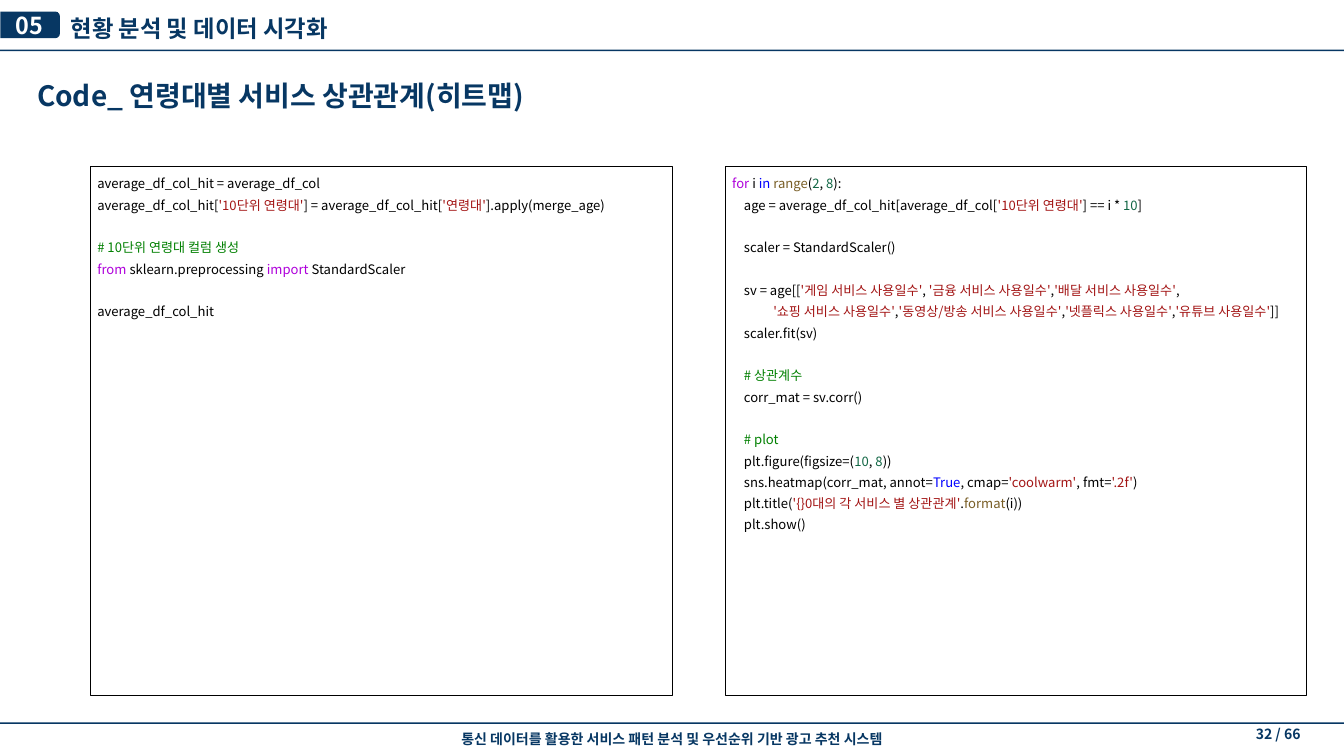
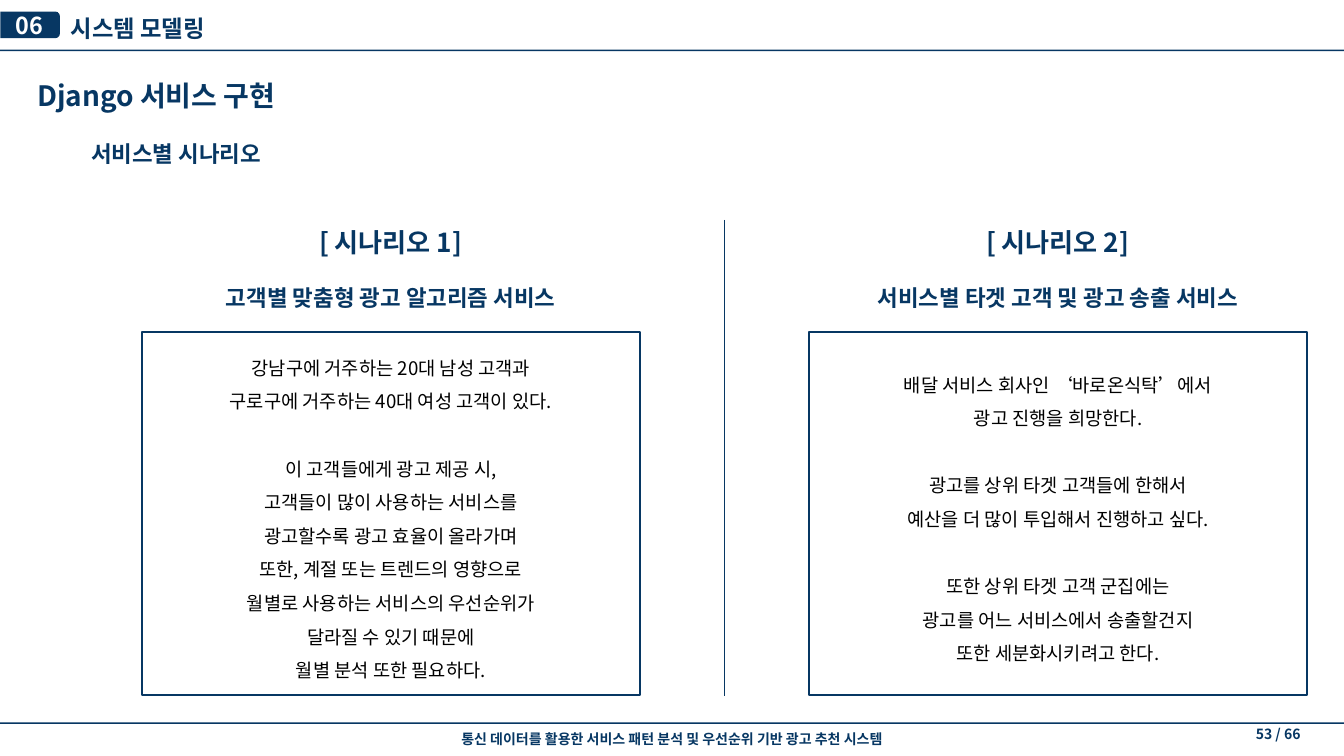
from lxml import etree
from pptx import Presentation
from pptx import util as u
from pptx.dml.color import RGBColor
from pptx.enum import shapes, text
from pptx.oxml.ns import qn

PX = 9525  # EMU per px, 96 px to the inch
WIDTH, HEIGHT = 1920, 1080

NAVY = RGBColor(0x07, 0x37, 0x63)
WHITE = RGBColor(0xFF, 0xFF, 0xFF)
BLACK = RGBColor(0x00, 0x00, 0x00)
STRING = RGBColor(0xA3, 0x15, 0x15)
COMMENT = RGBColor(0x00, 0x80, 0x00)
FLOW = RGBColor(0xAF, 0x00, 0xDB)
KEYWORD = RGBColor(0x00, 0x00, 0xFF)
FUNCTION = RGBColor(0x79, 0x5E, 0x26)
NUMBER = RGBColor(0x11, 0x66, 0x44)

FONT = "Noto Sans CJK KR"
LINE_HEIGHT = 1.2
LEFT, CENTER, RIGHT = text.PP_ALIGN.LEFT, text.PP_ALIGN.CENTER, text.PP_ALIGN.RIGHT
TOP, MIDDLE = text.MSO_ANCHOR.TOP, text.MSO_ANCHOR.MIDDLE
FOOTER = "통신 데이터를 활용한 서비스 패턴 분석 및 우선순위 기반 광고 추천 시스템"
GAP = None  # stands for an empty line in a list of lines


class Deck:
    def __init__(self):
        self.presentation = Presentation()
        self.presentation.slide_width = WIDTH * PX
        self.presentation.slide_height = HEIGHT * PX
        self.slide = None

    def new_slide(self, number, section, title, page):
        """Start a slide with the shared header, title and footer."""
        self.slide = self.presentation.slides.add_slide(self.presentation.slide_layouts[6])
        self.band(1032)
        self.label((481, 1032, 958, 37), [FOOTER], 15, align=CENTER, spacing=1.26, inset=(10, 5))
        self.label((910, 1032, 958, 34), [page], 15, align=RIGHT, inset=(10, 5))
        self.band(71)
        self.tab(number)
        self.label((101, 12, 584, 48), [section], 25, spacing=1.2)
        self.label((53, 102, 1289, 59), [title], 30, spacing=1.2)

    def shape(self, kind, box, fill=None, line=None, line_width=1):
        shape = self.slide.shapes.add_shape(kind, *(value * PX for value in box))
        shape.shadow.inherit = False
        if fill is None:
            shape.fill.background()
        else:
            shape.fill.solid()
            shape.fill.fore_color.rgb = fill
        if line is None:
            shape.line.fill.background()
        else:
            shape.line.color.rgb = line
            shape.line.width = u.Pt(line_width)
        return shape

    def band(self, top):
        self.shape(shapes.MSO_SHAPE.RECTANGLE, (0, top, WIDTH, 2), NAVY)

    def tab(self, number):
        tab = self.shape(shapes.MSO_SHAPE.ROUND_2_SAME_RECTANGLE, (24, -7, 38, 85), NAVY)
        tab.rotation = 90
        self.label((0, 18, 84, 35), [number], 25, WHITE, CENTER, anchor=MIDDLE, inset=(10, 5))

    def frame(self, box, lines, size, line, line_width, **style):
        """Outlined rectangle holding black body text."""
        shape = self.shape(shapes.MSO_SHAPE.RECTANGLE, box, None, line, line_width)
        self.set_lines(shape, lines, size, BLACK, bold=False, inset=(10, 5), **style)

    def label(self, box, lines, size, color=NAVY, align=LEFT, **style):
        shape = self.slide.shapes.add_textbox(*(value * PX for value in box))
        self.set_lines(shape, lines, size, color, align=align, **style)
        return shape

    def divider(self, x, top, bottom):
        line = self.slide.shapes.add_connector(
            shapes.MSO_CONNECTOR.STRAIGHT, x * PX, top * PX, x * PX, bottom * PX)
        line.line.color.rgb = NAVY
        line.line.width = u.Pt(0.5)
        etree.SubElement(line._element.spPr, qn("a:effectLst"))

    def set_lines(self, shape, lines, size, color, align=LEFT, anchor=TOP,
                  spacing=1.0, bold=True, inset=(0, 0)):
        """Fill a shape; a line is a string or a list of strings and (string, color) pairs."""
        frame = shape.text_frame
        frame.word_wrap = True
        frame.vertical_anchor = anchor
        frame.margin_left = frame.margin_right = inset[0] * PX
        frame.margin_top = frame.margin_bottom = inset[1] * PX
        paragraph, gap = None, False
        for line in lines:
            if line is GAP:
                gap = True
                continue
            paragraph = frame.add_paragraph() if paragraph is not None else frame.paragraphs[0]
            paragraph.alignment = align
            paragraph.line_spacing = spacing
            if gap:
                paragraph.space_before = u.Pt(size * LINE_HEIGHT * spacing)
                gap = False
            for part in [line] if isinstance(line, str) else line:
                words, run_color = (part, color) if isinstance(part, str) else part
                run = paragraph.add_run()
                run.text = words
                self.style(run, size, run_color, bold)

    def style(self, run, size, color, bold):
        run.font.size = u.Pt(size)
        run.font.bold = bold
        run.font.color.rgb = color
        run.font.name = FONT
        etree.SubElement(run.font._element, qn("a:ea"), typeface=FONT)

    def scenario(self, left, number, heading, lines):
        """One column: numbered heading above a framed story."""
        label = self.label((left + 54, 314, 602, 139), [f"[ 시나리오 {number}]", GAP, heading],
                           24, align=CENTER, anchor=MIDDLE)
        label.text_frame.paragraphs[0].runs[0].font.size = u.Pt(28)
        self.frame((left, 474, 711, 519), lines, 20, NAVY, 2,
                   align=CENTER, anchor=MIDDLE, spacing=1.5)


PREPARE_CODE = [
    "average_df_col_hit = average_df_col",
    ["average_df_col_hit[", ("'10단위 연령대'", STRING), "] = average_df_col_hit[",
     ("'연령대'", STRING), "].apply(merge_age)"],
    GAP,
    [("# 10단위 연령대 컬럼 생성", COMMENT)],
    [("from ", FLOW), "sklearn.preprocessing ", ("import ", FLOW), "StandardScaler"],
    GAP,
    "average_df_col_hit",
]

HEATMAP_CODE = [
    [("for ", FLOW), "i ", ("in ", KEYWORD), ("range", FUNCTION), "(", ("2", NUMBER), ", ",
     ("8", NUMBER), "):"],
    ["    age = average_df_col_hit[average_df_col[", ("'10단위 연령대'", STRING), "] == i * ",
     ("10", NUMBER), "]"],
    GAP,
    "    scaler = StandardScaler()",
    GAP,
    ["    sv = age[[", ("'게임 서비스 사용일수'", STRING), ", ", ("'금융 서비스 사용일수'", STRING),
     ",", ("'배달 서비스 사용일수'", STRING), ","],
    ["              ", ("'쇼핑 서비스 사용일수'", STRING), ",",
     ("'동영상/방송 서비스 사용일수'", STRING), ",", ("'넷플릭스 사용일수'", STRING), ",",
     ("'유튜브 사용일수'", STRING), "]]"],
    "    scaler.fit(sv)",
    GAP,
    ["    ", ("# 상관계수", COMMENT)],
    "    corr_mat = sv.corr()",
    GAP,
    ["    ", ("# plot", COMMENT)],
    ["    plt.figure(figsize=(", ("10", NUMBER), ", ", ("8", NUMBER), "))"],
    ["    sns.heatmap(corr_mat, annot=", ("True", KEYWORD), ", cmap=", ("'coolwarm'", STRING),
     ", fmt=", ("'.2f'", STRING), ")"],
    ["    plt.title(", ("'{}0대의 각 서비스 별 상관관계'", STRING), ".", ("format", FUNCTION),
     "(i))"],
    "    plt.show()",
]

CUSTOMER_STORY = [
    "강남구에 거주하는 20대 남성 고객과",
    "구로구에 거주하는 40대 여성 고객이 있다.",
    GAP,
    "이 고객들에게 광고 제공 시,",
    "고객들이 많이 사용하는 서비스를",
    "광고할수록 광고 효율이 올라가며",
    "또한, 계절 또는 트렌드의 영향으로",
    "월별로 사용하는 서비스의 우선순위가",
    "달라질 수 있기 때문에",
    "월별 분석 또한 필요하다.",
]

ADVERTISER_STORY = [
    "배달 서비스 회사인 ‘바로온식탁’에서",
    "광고 진행을 희망한다.",
    GAP,
    "광고를 상위 타겟 고객들에 한해서",
    "예산을 더 많이 투입해서 진행하고 싶다.",
    GAP,
    "또한 상위 타겟 고객 군집에는",
    "광고를 어느 서비스에서 송출할건지",
    "또한 세분화시키려고 한다.",
]


def main():
    deck = Deck()

    deck.new_slide("05", "현황 분석 및 데이터 시각화", "Code_ 연령대별 서비스 상관관계(히트맵)", "32 / 66")
    for left, code in ((129, PREPARE_CODE), (1036, HEATMAP_CODE)):
        deck.frame((left, 238, 831, 756), code, 14, BLACK, 1, spacing=1.36)

    deck.new_slide("06", "시스템 모델링", "Django 서비스 구현", "53 / 66")
    deck.label((130, 192, 1289, 46), ["서비스별 시나리오"], 24, spacing=1.2)
    deck.scenario(203, 1, "고객별 맞춤형 광고 알고리즘 서비스", CUSTOMER_STORY)
    deck.scenario(1156, 2, "서비스별 타겟 고객 및 광고 송출 서비스", ADVERTISER_STORY)
    deck.divider(1035, 314, 994)

    deck.presentation.save("out.pptx")


if __name__ == "__main__":
    main()
